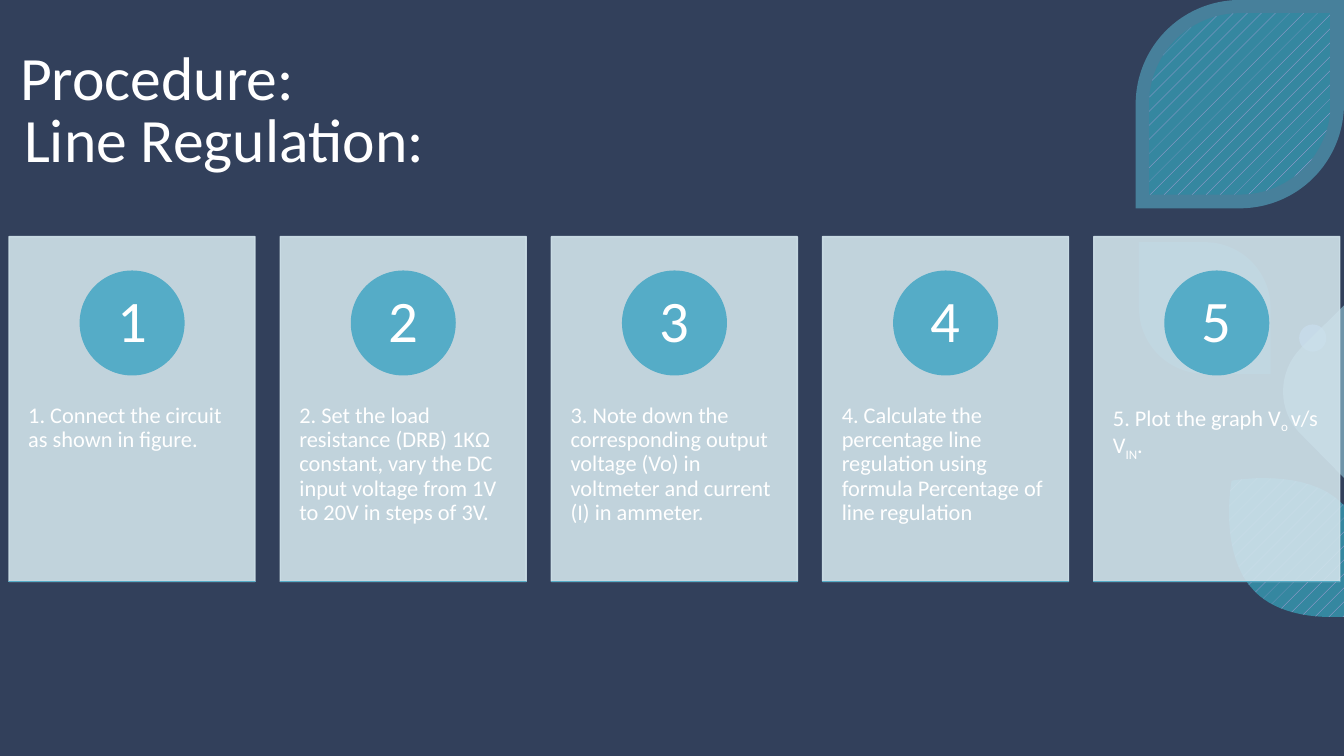
from dataclasses import dataclass
from typing import Optional

import pptx
import pptx.dml.color
import pptx.enum.dml
import pptx.enum.shapes
import pptx.enum.text
import pptx.oxml
import pptx.oxml.ns
import pptx.util

Pt = pptx.util.Pt
RGBColor = pptx.dml.color.RGBColor
SHAPE = pptx.enum.shapes.MSO_SHAPE
ANCHOR = pptx.enum.text.MSO_ANCHOR
ALIGN = pptx.enum.text.PP_ALIGN
qn = pptx.oxml.ns.qn

NAVY = RGBColor(0x24, 0x2E, 0x41)
TINT = RGBColor(0x48, 0x5D, 0x83)
BLUE = RGBColor(0x69, 0x8C, 0xCF)
DEEP_TEAL = RGBColor(0x35, 0x87, 0xA0)
TEAL = RGBColor(0x55, 0xAC, 0xC7)
PALE_TEAL = RGBColor(0x99, 0xCD, 0xDD)
LILAC = RGBColor(0xC3, 0xA5, 0xE2)
CARD = RGBColor(0xD1, 0xE3, 0xEB)
WHITE = RGBColor(0xFF, 0xFF, 0xFF)

WIDTH, HEIGHT = 960, 540
CARD_LEFT, CARD_TOP, CARD_W, CARD_H, CARD_PITCH = 6.5, 169, 175.7, 246.3, 193.7
CIRCLE, CIRCLE_TOP = 74, 193.7
NUMBER = 52.6

Point = tuple[float, float]
Curve = tuple[Point, ...]


@dataclass(frozen=True)
class Run:
    text: str
    baseline: int = 0


@dataclass(frozen=True)
class Decor:
    kind: SHAPE
    box: tuple[float, float, float, float]
    color: Optional[RGBColor] = None
    alpha: int = 100
    adjustments: tuple[float, ...] = ()


@dataclass(frozen=True)
class Outline:
    segments: tuple[Curve, ...]
    color: Optional[RGBColor] = None
    alpha: int = 100


DECOR_BACK = (
    Decor(SHAPE.RECTANGLE, (0, 0, WIDTH, HEIGHT), TINT, 40),
    Decor(SHAPE.OVAL, (928, 231.8, 19.4, 19.4), BLUE),
    Decor(SHAPE.ROUND_2_DIAG_RECTANGLE, (813.6, 173, 94, 94), DEEP_TEAL, 65, (0, 0.5)),
)
OUTLINES = (
    Outline((
        ((957.6, 440.6),), ((960, 440.6),), ((960, 360.7),), ((959, 360),),
        ((933.1, 333.4), (879.8, 343.4), (879.8, 343.4)),
        ((879.8, 343.4), (869.8, 396), (896.4, 422.6)),
        ((913, 439.2), (939.6, 441.4), (957.6, 440.6)),
    )),
    Outline((
        ((960, 218.2),), ((960, 341.3),), ((929.5, 310.3),),
        ((912.2, 293.8), (912.2, 265.7), (929.5, 248.4)),
    ), PALE_TEAL, 60),
)
DECOR_FRONT = (
    Decor(SHAPE.ROUND_2_DIAG_RECTANGLE, (811.2, 0, 148.8, 148.8), TEAL, 60, (0.5, 0)),
    Decor(SHAPE.ROUND_2_DIAG_RECTANGLE, (820.8, 9.4, 129.6, 129.6), adjustments=(0.5, 0)),
)
STEPS = (
    (Run("1. Connect the circuit as shown in figure."),),
    (Run("2. Set the load resistance (DRB) 1KΩ constant, vary the DC input "
         "voltage from 1V to 20V in steps of 3V."),),
    (Run("3. Note down the corresponding output voltage (Vo) in voltmeter "
         "and current (I) in ammeter."),),
    (Run("4. Calculate the percentage line regulation using formula "
         "Percentage of line regulation"),),
    (Run("5. Plot the graph V"), Run("o ", -25), Run("v/s V"), Run("IN", -25), Run(".")),
)


def set_alpha(fill_parent, alpha: int) -> None:
    if alpha < 100:
        clr = fill_parent.find(qn("a:solidFill"))[0]
        clr.append(pptx.oxml.parse_xml(
            '<a:alpha xmlns:a="http://schemas.openxmlformats.org/drawingml/2006/main" '
            f'val="{alpha * 1000}"/>'))


def paint(sp, color: Optional[RGBColor], alpha: int = 100, outlined: bool = False) -> None:
    sp.shadow.inherit = False
    if color is None:
        sp.fill.patterned()
        sp.fill.pattern = pptx.enum.dml.MSO_PATTERN.PERCENT_5
        sp.fill.fore_color.rgb = LILAC
        sp.fill.back_color.rgb = DEEP_TEAL
    else:
        sp.fill.solid()
        sp.fill.fore_color.rgb = color
        set_alpha(sp._element.spPr, alpha)
    if outlined:
        sp.line.color.rgb = color
        sp.line.width = Pt(1)
        set_alpha(sp._element.spPr.find(qn("a:ln")), alpha)
    else:
        sp.line.fill.background()


def add_decor(s, decor: Decor, outlined: bool = False) -> None:
    sp = s.shapes.add_shape(decor.kind, *map(Pt, decor.box))
    for i, value in enumerate(decor.adjustments):
        sp.adjustments[i] = value
    paint(sp, decor.color, decor.alpha, outlined)


def bezier(a: Point, b: Point, c: Point, d: Point, count: int = 16) -> list[Point]:
    points = []
    for i in range(1, count + 1):
        t = i / count
        u = 1 - t
        weights = (u**3, 3 * u * u * t, 3 * u * t * t, t**3)
        points.append(tuple(sum(w * p[axis] for w, p in zip(weights, (a, b, c, d)))
                            for axis in (0, 1)))
    return points


def add_outline(s, outline: Outline) -> None:
    points = [outline.segments[0][0]]
    for segment in outline.segments[1:]:
        points += bezier(points[-1], *segment) if len(segment) == 3 else segment
    emu = [(Pt(x), Pt(y)) for x, y in points]
    builder = s.shapes.build_freeform(*emu[0])
    builder.add_line_segments(emu[1:], close=True)
    paint(builder.convert_to_shape(), outline.color, outline.alpha)


def write(sp, runs: tuple[Run, ...], *, size: float, anchor=ANCHOR.TOP, align=ALIGN.LEFT,
          inset: Point = (7.2, 3.6), before: float = 0) -> None:
    tf = sp.text_frame
    tf.word_wrap = True
    tf.auto_size = pptx.enum.text.MSO_AUTO_SIZE.NONE
    tf.vertical_anchor = anchor
    tf.margin_left = tf.margin_right = Pt(inset[0])
    tf.margin_top = tf.margin_bottom = Pt(inset[1])
    p = tf.paragraphs[0]
    p.alignment = align
    p.line_spacing = 0.9
    p.space_before = Pt(before)
    for run in runs:
        r = p.add_run()
        r.text = run.text
        r.font.name = "Calibri"
        r.font.size = Pt(size)
        r.font.color.rgb = WHITE
        if run.baseline:
            r.font._element.set("baseline", str(run.baseline * 1000))


def place(sp, left: float, top: float, width: float, height: float) -> None:
    sp.left, sp.top, sp.width, sp.height = map(Pt, (left, top, width, height))


def add_step(s, index: int, runs: tuple[Run, ...]) -> None:
    left = CARD_LEFT + index * CARD_PITCH
    center = left + CARD_W / 2
    add_decor(s, Decor(SHAPE.RECTANGLE, (left, CARD_TOP, CARD_W, CARD_H), CARD, 90), True)
    sp = s.shapes.add_textbox(Pt(left), Pt(262.8), Pt(CARD_W), Pt(147.6))
    write(sp, runs, size=16, inset=(13.7, 25.9))
    add_decor(s, Decor(SHAPE.OVAL, (center - CIRCLE / 2, CIRCLE_TOP, CIRCLE, CIRCLE), TEAL), True)
    sp = s.shapes.add_textbox(Pt(center - NUMBER / 2), Pt(CIRCLE_TOP + (CIRCLE - NUMBER) / 2),
                              Pt(NUMBER), Pt(NUMBER))
    write(sp, (Run(str(index + 1)),), size=42, anchor=ANCHOR.MIDDLE,
          align=ALIGN.CENTER, inset=(5.8, 0.7))
    add_decor(s, Decor(SHAPE.RECTANGLE, (left, CARD_TOP + CARD_H, CARD_W, 0), TEAL), True)


def main() -> None:
    prs = pptx.Presentation()
    prs.slide_width, prs.slide_height = Pt(WIDTH), Pt(HEIGHT)
    s = prs.slides.add_slide(prs.slide_layouts[1])
    s.background.fill.solid()
    s.background.fill.fore_color.rgb = NAVY
    title, body = s.shapes.title, s.placeholders[1]

    for decor in DECOR_BACK:
        add_decor(s, decor)
    for outline in OUTLINES:
        add_outline(s, outline)
    for decor in DECOR_FRONT:
        add_decor(s, decor)

    s.shapes._spTree.append(title._element)
    place(title, 7.2, -69, 340, 154)
    write(title, (Run("Procedure:"),), size=44, anchor=ANCHOR.BOTTOM)

    for i, runs in enumerate(STEPS):
        add_step(s, i, runs)

    s.shapes._spTree.append(body._element)
    place(body, 10, 74.2, 340, 245.5)
    write(body, (Run("Line Regulation:"),), size=44, before=10)
    pPr = body.text_frame.paragraphs[0]._p.get_or_add_pPr()
    pPr.set("marL", "0")
    pPr.set("indent", "0")
    pPr.append(pPr.makeelement(qn("a:buNone"), {}))

    prs.save("out.pptx")


if __name__ == "__main__":
    main()
